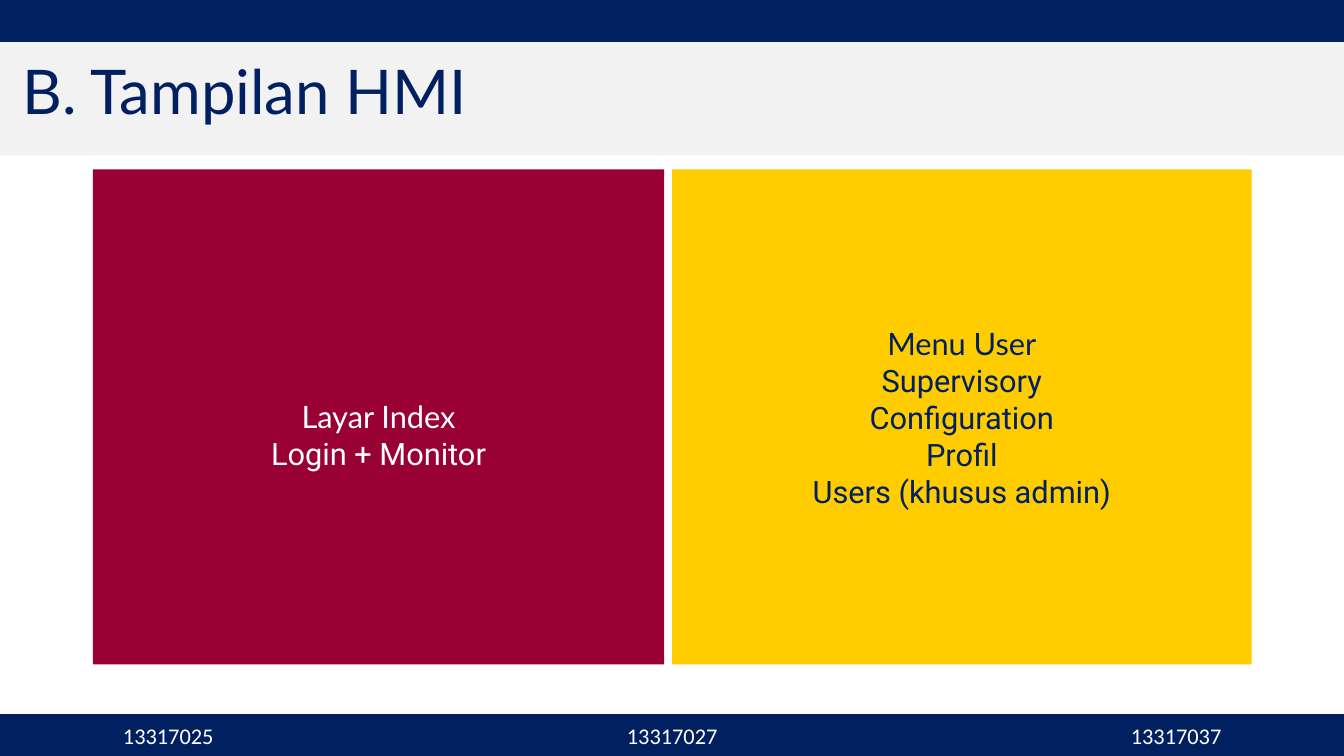
"""Builds the HMI display slide with two coloured panels and a footer of student numbers."""
import pptx
import pptx.dml.color
import pptx.enum.shapes
import pptx.enum.text
import pptx.oxml
import pptx.oxml.ns
import pptx.util
from lxml import etree

Cm = pptx.util.Cm
Pt = pptx.util.Pt
ALIGN = pptx.enum.text.PP_ALIGN
MIDDLE = pptx.enum.text.MSO_ANCHOR.MIDDLE

NAVY, WHITE, GREY = "002060", "FFFFFF", "F2F2F2"
HEADING = "B. Tampilan HMI"
STUDENT_NUMBERS = ["13317025", "13317027", "13317037"]
PANELS = [
    {"lines": ["Layar Index", "Login + Monitor"],
     "fill": "990033", "ink": WHITE, "width": 14.4, "top_inset": 1.04},
    {"lines": ["Menu User", "Supervisory", "Configuration", "Profil", "Users (khusus admin)"],
     "fill": "FFCC00", "ink": NAVY, "width": 14.6, "top_inset": 0.13},
]
SLIDE_WIDTH, SLIDE_HEIGHT = 33.87, 19.05
BAR_HEIGHT = 1.04
CONTENT_LEFT, PANEL_TOP, PANEL_HEIGHT, PANEL_GAP = 2.34, 4.27, 12.47, 0.2
NUMBER_STEP = 12.7


def colour(hex_code):
    return pptx.dml.color.RGBColor.from_string(hex_code)


def apply(target, values):
    for name, value in values.items():
        setattr(target, name, value)


def place(part, left, top, width, height):
    apply(part, {"left": Cm(left), "top": Cm(top), "width": Cm(width), "height": Cm(height)})


def paint(part, hex_code):
    part.fill.solid()
    part.fill.fore_color.rgb = colour(hex_code)


def style(paragraph, face, size, ink, layout):
    apply(paragraph, layout)
    apply(paragraph.font, {"name": face, "size": Pt(size)})
    paragraph.font.color.rgb = colour(ink)


def add_bar(slide, top):
    bar = slide.shapes.add_shape(pptx.enum.shapes.MSO_SHAPE.RECTANGLE, 0, Cm(top),
                                 Cm(SLIDE_WIDTH), Cm(BAR_HEIGHT))
    bar.shadow.inherit = False
    paint(bar, NAVY)
    bar.line.color.rgb = colour(NAVY)
    bar.line.width = Pt(1)


def fill_title(title):
    place(title, 0, 0.86, SLIDE_WIDTH, 3.05)
    paint(title, GREY)
    title.text_frame.text = HEADING
    apply(title.text_frame, {"vertical_anchor": MIDDLE, "margin_left": Cm(0.56),
                             "auto_size": pptx.enum.text.MSO_AUTO_SIZE.NONE})
    style(title.text_frame.paragraphs[0], "Lato", 44, NAVY,
          {"alignment": ALIGN.LEFT, "line_spacing": 0.9})


def fill_panel(body, panel, left):
    place(body, left, PANEL_TOP, panel["width"], PANEL_HEIGHT)
    paint(body, panel["fill"])
    body.text_frame.text = "\n".join(panel["lines"])
    apply(body.text_frame, {"vertical_anchor": MIDDLE, "margin_top": Cm(panel["top_inset"]),
                            "auto_size": pptx.enum.text.MSO_AUTO_SIZE.NONE})
    for row, paragraph in enumerate(body.text_frame.paragraphs):
        properties = paragraph._p.get_or_add_pPr()
        properties.set("marL", "0")
        properties.set("indent", "0")
        etree.SubElement(properties, pptx.oxml.ns.qn("a:buNone"))
        style(paragraph, "Roboto" if row else "Lato", 22, panel["ink"],
              {"alignment": ALIGN.CENTER, "space_before": Pt(0)})


def add_numbers(slide):
    numbers = slide.shapes.add_textbox(Cm(CONTENT_LEFT), Cm(18.06), Cm(29.2), Cm(0.94))
    apply(numbers.text_frame, {"word_wrap": True, "margin_left": Cm(0.76)})
    paragraph = numbers.text_frame.paragraphs[0]
    paragraph.text = "\t".join(STUDENT_NUMBERS)
    stops = etree.SubElement(paragraph._p.get_or_add_pPr(), pptx.oxml.ns.qn("a:tabLst"))
    for step in range(1, len(STUDENT_NUMBERS)):
        etree.SubElement(stops, pptx.oxml.ns.qn("a:tab"),
                         pos=str(Cm(step * NUMBER_STEP)), algn="l")
    style(paragraph, "Calibri", 16, WHITE, {"alignment": ALIGN.LEFT})


def main():
    deck = pptx.Presentation()
    apply(deck, {"slide_width": Cm(SLIDE_WIDTH), "slide_height": Cm(SLIDE_HEIGHT)})
    slide = deck.slides.add_slide(deck.slide_layouts.get_by_name("Two Content"))
    fill_title(slide.shapes.title)
    left = CONTENT_LEFT
    for index, panel in enumerate(PANELS, start=1):
        fill_panel(slide.placeholders[index], panel, left)
        left += panel["width"] + PANEL_GAP
    for top in (0, SLIDE_HEIGHT - BAR_HEIGHT):
        add_bar(slide, top)
    add_numbers(slide)
    deck.save("out.pptx")


if __name__ == "__main__":
    main()
